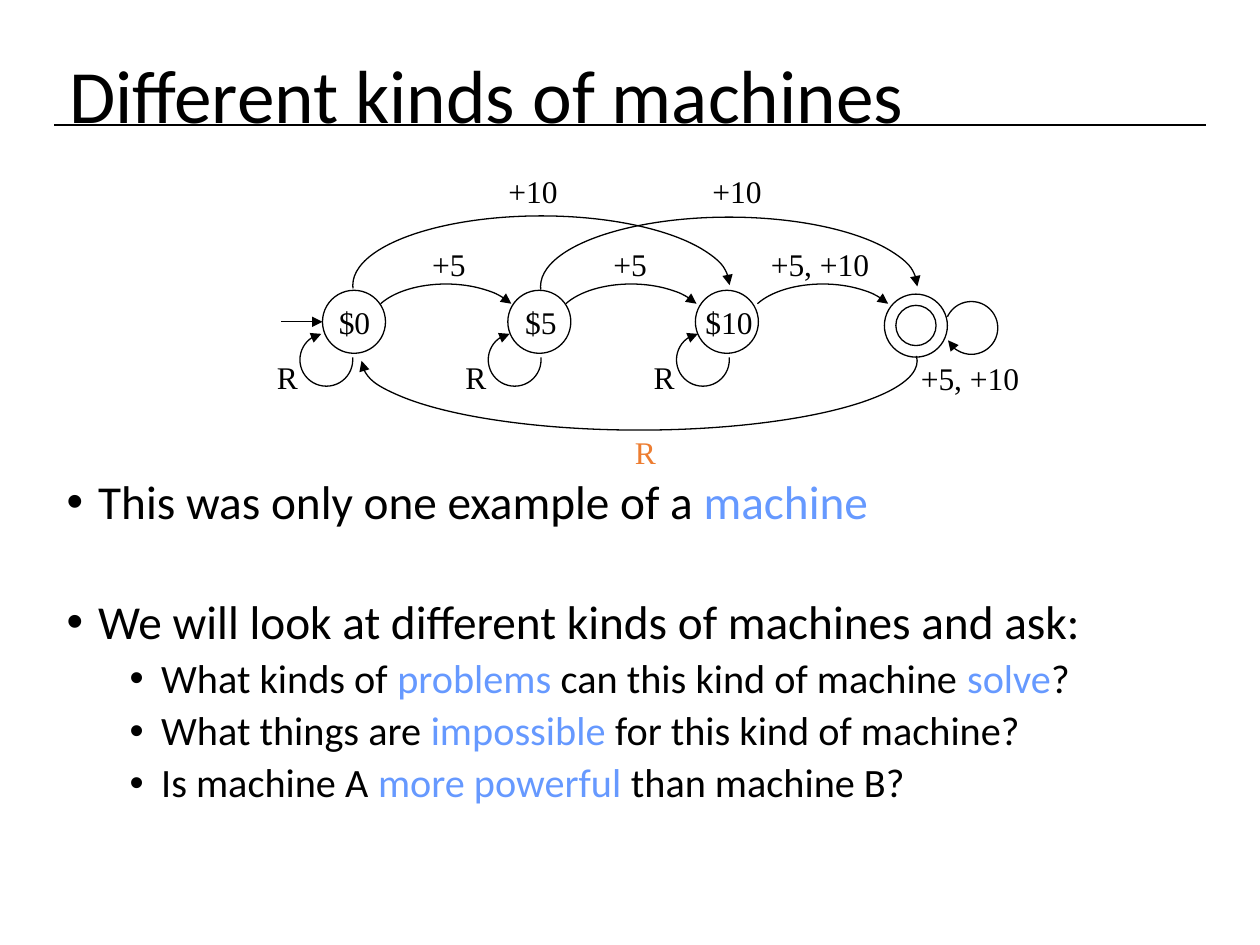
import pptx
import pptx.dml.color
import pptx.enum.shapes
import pptx.enum.text
import pptx.oxml
import pptx.oxml.ns
import pptx.util

Pt = pptx.util.Pt
SHAPE = pptx.enum.shapes.MSO_SHAPE
ANCHOR = pptx.enum.text.MSO_ANCHOR
AUTO_SIZE = pptx.enum.text.MSO_AUTO_SIZE
COLOURS = {"ink": "000000", "accent": "6699FF", "reset": "ED7D31"}
BODY_FONT, LABEL_FONT = "Calibri", "Times New Roman"
STATE_SIZE, LOOP_SIZE = 36, 30.2


def rgb(name):
    return pptx.dml.color.RGBColor.from_string(COLOURS[name])


def add_child(parent, tag, attributes=""):
    namespace = pptx.oxml.ns.nsdecls("a")
    child = pptx.oxml.parse_xml(f"<a:{tag} {namespace} {attributes}/>")
    parent.append(child)


def add_text(page, left, top, width, height, paragraphs, font=LABEL_FONT, size=18,
             colour="ink", wrap=False, anchor=ANCHOR.TOP, line_spacing=None):
    """Paragraphs are (text, options) pairs; *stars* enclose accented words."""
    box = page.shapes.add_textbox(Pt(left), Pt(top), Pt(width), Pt(height))
    frame = box.text_frame
    frame.word_wrap = wrap
    frame.auto_size = AUTO_SIZE.NONE if wrap else AUTO_SIZE.SHAPE_TO_FIT_TEXT
    frame.vertical_anchor = anchor
    for number, (text, options) in enumerate(paragraphs):
        para = frame.paragraphs[0] if number == 0 else frame.add_paragraph()
        para.line_spacing = line_spacing
        para.space_before = Pt(options.get("before", 0))
        if "indent" in options:
            properties = para._p.get_or_add_pPr()
            properties.set("marL", str(Pt(options["indent"])))
            properties.set("indent", str(Pt(-18)))
            add_child(properties, "buFont", 'typeface="Arial"')
            add_child(properties, "buChar", 'char="•"')
        for index, part in enumerate(text.split("*")):
            if part:
                span = para.add_run()
                span.text = part
                span.font.name = font
                span.font.size = Pt(options.get("size", size))
                span.font.color.rgb = rgb("accent" if index % 2 else colour)


def style_line(item, arrow=False):
    item.line.color.rgb = rgb("ink")
    item.line.width = Pt(0.75)
    if arrow:
        outline = item._element.spPr.find(pptx.oxml.ns.qn("a:ln"))
        add_child(outline, "tailEnd", 'type="triangle"')


def add_line(page, x1, y1, x2, y2, arrow=False):
    line = page.shapes.add_connector(
        pptx.enum.shapes.MSO_CONNECTOR.STRAIGHT, Pt(x1), Pt(y1), Pt(x2), Pt(y2))
    style_line(line, arrow)
    add_child(line._element.spPr, "effectLst")


def add_outline(page, kind, left, top, width, height, angles=None):
    """Unfilled shape; an arc runs clockwise between two angles to an arrowhead."""
    shape = page.shapes.add_shape(kind, Pt(left), Pt(top), Pt(width), Pt(height))
    if angles:
        for index, degrees in enumerate(angles):
            shape.adjustments[index] = degrees * 0.6  # 60000 units a degree
    shape.fill.background()
    style_line(shape, arrow=bool(angles))
    shape.shadow.inherit = False


def draw_header(page, left, top, width, height):
    add_line(page, left - 1.4, top + 67.2, left + 656.6, top + 67.2)
    add_text(page, left, top, width, height, [("Different kinds of machines", {})],
             font=BODY_FONT, size=43, wrap=True, anchor=ANCHOR.MIDDLE, line_spacing=0.9)


def draw_state_machine(page, left, top):
    def label(text, x, y, width, colour="ink"):
        add_text(page, left + x, top + y, width, 29, [(text, {})], colour=colour)

    def outline(kind, x, y, width, height, angles=None):
        add_outline(page, kind, left + x, top + y, width, height, angles)

    add_line(page, left + 9.6, top + 89.6, left + 33.3, top + 89.6, arrow=True)

    for text, x, label_x, width in [("$0", 33.3, 35.5, 34), ("$5", 139.2, 142, 34),
                                    ("$10", 246.4, 245, 43)]:
        outline(SHAPE.OVAL, x, 71.6, STATE_SIZE, STATE_SIZE)
        label(text, label_x, 75.2, width)
    outline(SHAPE.OVAL, 354.4, 73.8, STATE_SIZE, STATE_SIZE)
    outline(SHAPE.OVAL, 360.9, 80.2, 23, 23)

    for text, x, label_x, width in [("+5", 60.7, 88.8, 35), ("+5", 166.5, 192.4, 35),
                                    ("+5, +10", 276, 282.4, 72)]:
        outline(SHAPE.ARC, x, 68, 86.4, 45.4, (197, 343))
        label(text, label_x, 42, width)

    for x, y, label_x in [(50.6, 29.1, 132.4), (157.9, 29.8, 249)]:
        outline(SHAPE.ARC, x, y, 215.3, 79.2, (179, 0))
        label("+10", label_x, 0.3, 44)

    for state in range(3):
        shift = state * 107.6
        outline(SHAPE.ARC, 20.4 + shift, 96.2, LOOP_SIZE, LOOP_SIZE, (355, 259))
        label("R", 0.2 + shift, 106.9, 28)
    outline(SHAPE.ARC, 389, 78, LOOP_SIZE, LOOP_SIZE, (205, 152))
    label("+5, +10", 368.1, 107.4, 72)

    outline(SHAPE.ARC, 55.6, 72.3, 317.5, 79.2, (359, 180))
    label("R", 204.7, 149.4, 28, colour="reset")


def draw_questions(page, left, top, width, height):
    point = {"indent": 18, "before": 10}
    spaced_point = {"indent": 18, "before": 39.5}
    question = {"indent": 54, "before": 5, "size": 23}
    paragraphs = [
        ("This was only one example of a *machine*", point),
        ("We will look at different kinds of machines and ask:", spaced_point),
        ("What kinds of *problems *can this kind of machine *solve*?", question),
        ("What things are *impossible* for this kind of machine?", question),
        ("Is machine A *more powerful *than machine B?", question),
    ]
    add_text(page, left, top, width, height, paragraphs, font=BODY_FONT, size=27,
             wrap=True, line_spacing=0.9)


def main():
    deck = pptx.Presentation()
    deck.slide_width, deck.slide_height = Pt(720), Pt(540)
    page = deck.slides.add_slide(deck.slide_layouts[6])
    draw_header(page, 32.4, 4.3, 620.6, 104.4)
    draw_questions(page, 31, 270, 658, 232.6)
    draw_state_machine(page, 151, 94.3)
    deck.save("out.pptx")


if __name__ == "__main__":
    main()
